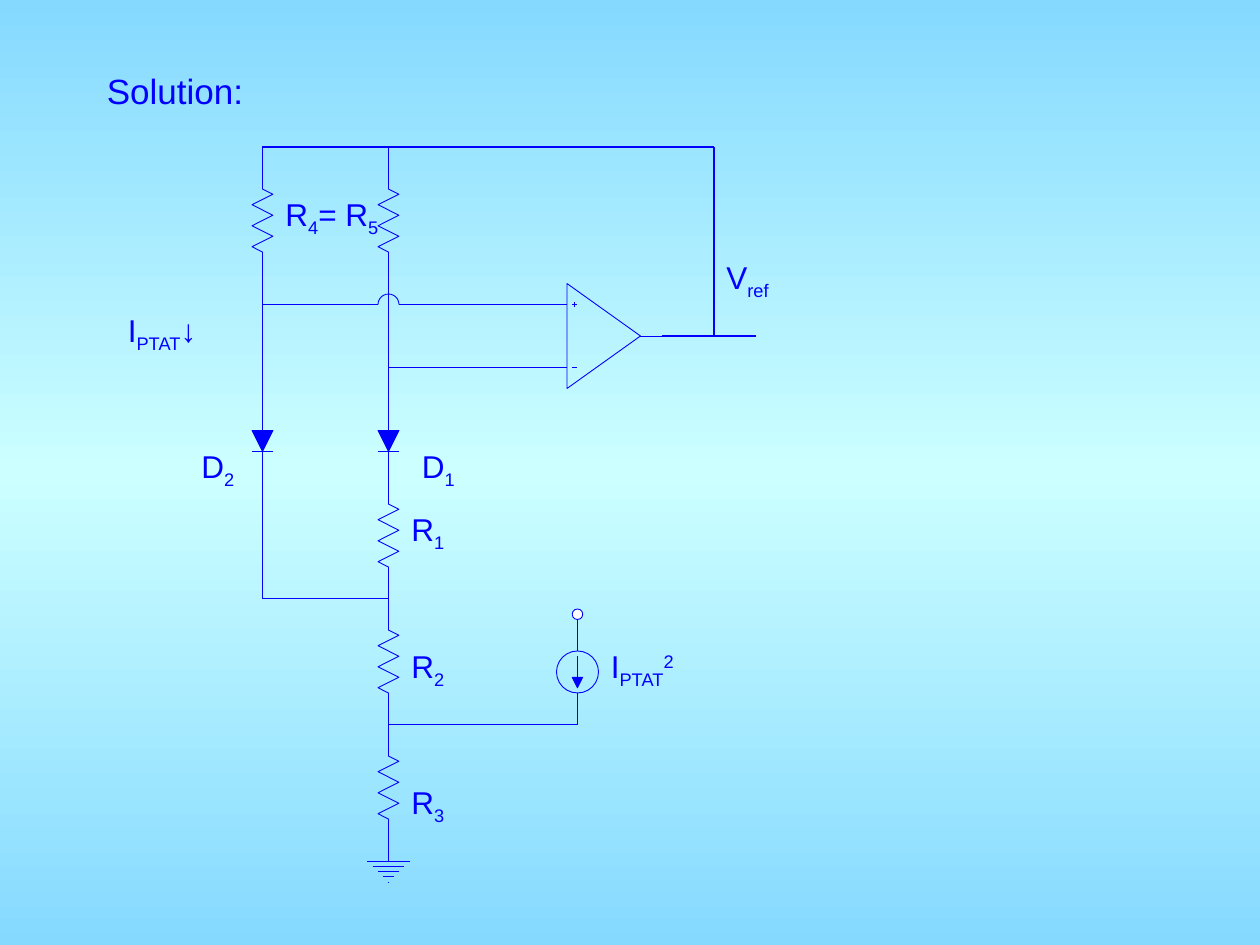
from copy import deepcopy

from pptx import Presentation
from pptx.dml.color import RGBColor
from pptx.enum.shapes import MSO_CONNECTOR as Link, MSO_SHAPE as Preset
from pptx.oxml.ns import qn
from pptx.oxml.xmlchemy import OxmlElement
from pptx.util import Cm, Pt

BLUE, WHITE, SKY, PALE = "0000FF", "FFFFFF", "85D9FF", "CCFFFF"
THIN, WIRE = 0.5, 0.75
SUB, SUPER = -25000, 30000

# Positions below count grid steps of 1/12 inch
STEP = 2.54 / 12
LEFT, MID, SOURCE = 25, 37, 55  # x of the three vertical branches

# Labels: left, top, width, size, spans of (text, baseline)
LABELS = [
    (9, 6, 24, 20, [("Solution:", 0)]),
    (26, 18, 12, 18, [("R", 0), ("4", SUB), ("= R", 0), ("5", SUB)]),
    (18, 42, 9, 18, [("D", 0), ("2", SUB)]),
    (39, 42, 9, 18, [("D", 0), ("1", SUB)]),
    (38, 48, 12, 18, [("R", 0), ("1", SUB)]),
    (38, 61, 12, 18, [("R", 0), ("2", SUB)]),
    (38, 74, 12, 18, [("R", 0), ("3", SUB)]),
    (68, 24, 9, 18, [("V", 0), ("ref", SUB)]),
    (11, 29, 12, 18, [("I", 0), ("PTAT", SUB), ("↓", 0)]),
    (57, 61, 12, 18, [("I", 0), ("PTAT", SUB), ("2", SUPER)]),
]

RESISTORS = [(LEFT, 16), (MID, 16), (MID, 46), (MID, 58), (MID, 70)]
DIODES = [(LEFT, 37), (MID, 37)]

WIRES = [
    # Top rail and output
    (LEFT, 16, LEFT, 14), (MID, 16, MID, 14), (LEFT, 14, 68, 14),
    (68, 14, 68, 32), (63, 32, 72, 32),
    # Branches down to the diodes
    (LEFT, 26, LEFT, 38), (MID, 26, MID, 38),
    # Amplifier inputs
    (LEFT, 29, 35, 29), (39, 29, 52, 29), (MID, 35, 52, 35),
    # Lower branches
    (LEFT, 46, LEFT, 57), (LEFT, 57, MID, 57), (MID, 56, MID, 58),
    (MID, 67, MID, 70), (MID, 69, SOURCE, 69),
]


def grid(steps):
    return Cm(steps * STEP)


def color(value):
    return RGBColor.from_string(value)


def style(shape, fill=None):
    shape.shadow.inherit = False
    shape.line.color.rgb = color(BLUE)
    shape.line.width = Pt(THIN)
    if fill:
        shape.fill.solid()
        shape.fill.fore_color.rgb = color(fill)
    else:
        shape.fill.background()


def line(shapes, x1, y1, x2, y2, width=THIN):
    link = shapes.add_connector(Link.STRAIGHT, *map(grid, (x1, y1, x2, y2)))
    link.line.color.rgb = color(BLUE)
    link.line.width = Pt(width)
    link._element.spPr.append(OxmlElement("a:effectLst"))


def outline(shapes, points, close=False, fill=None):
    corners = [(grid(x), grid(y)) for x, y in points]
    builder = shapes.build_freeform(*corners[0])
    builder.add_line_segments(corners[1:], close=close)
    style(builder.convert_to_shape(), fill)


def round_shape(shapes, preset, x, y, radius, fill=None):
    shape = shapes.add_shape(preset, grid(x - radius), grid(y - radius),
                             grid(2 * radius), grid(2 * radius))
    style(shape, fill)
    return shape


def resistor(shapes, x, top):
    zigzag = [(x + (1 if i % 2 == 0 else -1), top + 2.5 + i) for i in range(6)]
    outline(shapes, [(x, top), (x, top + 2), *zigzag, (x, top + 8), (x, top + 10)])


def diode(shapes, x, top):
    line(shapes, x, top, x, top + 4)
    outline(shapes, [(x, top + 6), (x + 1, top + 4), (x - 1, top + 4)], True, BLUE)
    line(shapes, x - 1, top + 6, x + 1, top + 6)
    line(shapes, x, top + 6, x, top + 10)


def amplifier(shapes, x, y):
    outline(shapes, [(x + 7, y), (x, y + 5), (x, y - 5)], True)
    line(shapes, x + 7, y, x + 9, y)
    for side in (-3, 3):
        line(shapes, x - 2, y + side, x, y + side)
        line(shapes, x + 0.5, y + side, x + 1, y + side)
    line(shapes, x + 0.75, y - 3.25, x + 0.75, y - 2.75)


def hop(shapes, x, y):
    arc = round_shape(shapes, Preset.ARC, x, y, 1)
    arc.adjustments[0] = 108  # starts at 180 degrees, ends at 0
    for side in (-1, 1):
        line(shapes, x + side, y, x + 2 * side, y)


def ground(shapes, x, y):
    line(shapes, x, y - 3, x, y)
    for i, half in enumerate((2, 1.5, 1, 0.5, 0.03)):
        line(shapes, x - half, y + i / 2, x + half, y + i / 2)


def current_source(shapes, x, y):
    round_shape(shapes, Preset.OVAL, x, y, 2)
    line(shapes, x, y - 5, x, y - 2)
    line(shapes, x, y + 2, x, y + 5)
    line(shapes, x, y - 1.5, x, y + 1)
    outline(shapes, [(x, y + 1.5), (x + 0.5, y + 0.5), (x - 0.5, y + 0.5)], True, BLUE)
    round_shape(shapes, Preset.OVAL, x, y - 5.5, 0.5, WHITE)


def label(shapes, left, top, width, size, spans):
    box = shapes.add_textbox(grid(left), grid(top), grid(width), Cm(1.12))
    box.text_frame.word_wrap = True
    para = box.text_frame.paragraphs[0]
    for text, baseline in spans:
        span = para.add_run()
        span.text = text
        span.font.name = "Arial"
        span.font.size = Pt(size)
        span.font.color.rgb = color(BLUE)
        if baseline:
            span._r.get_or_add_rPr().set("baseline", str(baseline))


def paint_background(page):
    fill = page.background.fill
    fill.gradient()
    fill.gradient_angle = 270
    first, middle = fill.gradient_stops
    first.color.rgb, first.position = color(SKY), 0
    middle.color.rgb, middle.position = color(PALE), 0.5
    stops = page.element.find(".//" + qn("a:gsLst"))
    last = deepcopy(stops[0])
    last.set("pos", "100000")
    stops.append(last)


def main():
    deck = Presentation()
    deck.slide_width, deck.slide_height = Cm(25.4), Cm(19.05)
    page = deck.slides.add_slide(deck.slide_layouts[6])
    paint_background(page)

    # Wires and resistors
    for wire in WIRES:
        line(page.shapes, *wire, width=WIRE)
    for place in RESISTORS:
        resistor(page.shapes, *place)

    # Symbols made of several parts, one group each
    symbols = [(diode, *place) for place in DIODES]
    symbols += [(amplifier, 54, 32), (hop, MID, 29), (ground, MID, 82),
                (current_source, SOURCE, 64)]
    for draw, x, y in symbols:
        draw(page.shapes.add_group_shape().shapes, x, y)

    # Labels
    for item in LABELS:
        label(page.shapes, *item)

    deck.save("out.pptx")


if __name__ == "__main__":
    main()
